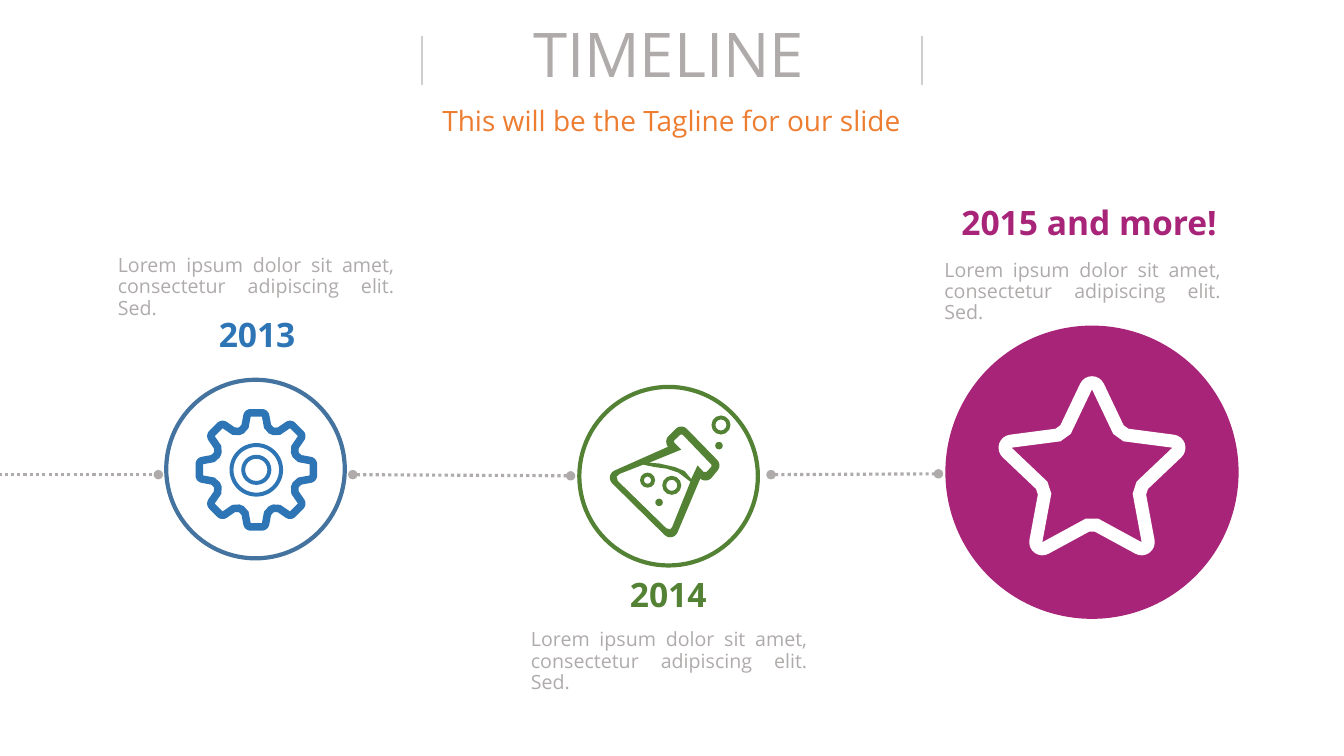
from math import atan2, cos, hypot, pi, radians, sin

from lxml import etree
from pptx import Presentation
from pptx.dml.color import RGBColor
from pptx.enum.dml import MSO_LINE
from pptx.enum.shapes import MSO_CONNECTOR, MSO_SHAPE
from pptx.enum.text import MSO_AUTO_SIZE, PP_ALIGN
from pptx.oxml.ns import qn
from pptx.util import Cm, Pt

STRAIGHT = MSO_CONNECTOR.STRAIGHT
OVAL = MSO_SHAPE.OVAL
DONUT = MSO_SHAPE.DONUT
DOTTED = MSO_LINE.ROUND_DOT
CENTER = PP_ALIGN.CENTER
JUSTIFY = PP_ALIGN.JUSTIFY
GROW = MSO_AUTO_SIZE.SHAPE_TO_FIT_TEXT

FONT = "Open Sans"
WHITE = RGBColor(0xFF, 0xFF, 0xFF)
GRAY = RGBColor(0xAF, 0xAB, 0xAB)
LIGHT_GRAY = RGBColor(0xD0, 0xCE, 0xCE)
ORANGE = RGBColor(0xED, 0x7D, 0x31)
BLUE = RGBColor(0x2E, 0x75, 0xB6)
RIM_BLUE = RGBColor(0x43, 0x73, 0x9E)
GREEN = RGBColor(0x54, 0x82, 0x35)
PURPLE = RGBColor(0xA8, 0x24, 0x79)

BODY = "Lorem ipsum dolor sit amet, consectetur adipiscing elit. Sed."
BODY_WIDTH, BODY_HEIGHT = 7.47, 1.45

GEAR_TOOTH = [(-6, 1.35), (6, 1.35), (10.5, 1.07), (19, 0.97), (26, 0.97), (34.5, 1.07)]
STAR_POINT = [(0, 2.13), (28, 1.14), (44, 1.14)]
FLASK_BODY = [
    (17.17, 10.95), (17.93, 11.73), (17.78, 11.91), (17.58, 11.71),
    (16.89, 13.34), (15.57, 12.04), (17.17, 11.33), (16.99, 11.13),
]
FLASK_GLASS = [
    (17.93, 11.71), (17.93, 11.76), (17.81, 11.89), (17.73, 11.89), (17.58, 11.73),
    (17.42, 12.07), (17.25, 11.87), (17.01, 11.77), (16.61, 11.68), (16.36, 11.66),
    (17.17, 11.33), (16.99, 11.15), (16.99, 11.1), (17.15, 10.95), (17.2, 10.95),
]
FLASK_LIQUID = [
    (16.94, 13.28), (16.89, 13.34), (16.79, 13.31), (15.57, 12.12), (15.54, 12.01),
    (15.62, 11.94), (16.21, 11.71), (16.5, 11.77), (16.8, 11.81), (17.1, 11.91),
    (17.4, 12.14),
]


def add_text(page, left, top, width, height, text, size, color, align=CENTER, bold=False):
    box = page.shapes.add_textbox(Cm(left), Cm(top), Cm(width), Cm(height))
    frame = box.text_frame
    frame.word_wrap = True
    frame.auto_size = GROW
    frame.text = text
    para = frame.paragraphs[0]
    para.alignment = align
    para.line_spacing = 0.9
    font = para.runs[0].font
    font.name, font.size, font.bold = FONT, Pt(size), bold
    font.color.rgb = color


def add_line(page, x1, y1, x2, y2, color, weight):
    line = page.shapes.add_connector(STRAIGHT, Cm(x1), Cm(y1), Cm(x2), Cm(y2))
    line.line.color.rgb = color
    line.line.width = Pt(weight)
    etree.SubElement(line._element.spPr, qn("a:effectLst"))
    return line


def add_dotted_link(page, x1, y1, x2, y2):
    link = add_line(page, x1, y1, x2, y2, GRAY, 2.25)
    link.line.dash_style = DOTTED
    outline = link.line._get_or_add_ln()
    for end in ("a:headEnd", "a:tailEnd"):
        etree.SubElement(outline, qn(end), type="oval")


def paint(shape, fill, rim=None):
    shape.shadow.inherit = False
    shape.fill.solid()
    shape.fill.fore_color.rgb = fill
    if rim is None:
        shape.line.fill.background()
    else:
        shape.line.color.rgb = rim
        shape.line.width = Pt(3)


def add_round(page, kind, x, y, diameter, fill, rim=None):
    shape = page.shapes.add_shape(
        kind, Cm(x - diameter / 2), Cm(y - diameter / 2), Cm(diameter), Cm(diameter))
    paint(shape, fill, rim)
    return shape


def add_ring(page, x, y, diameter, color):
    ring = add_round(page, DONUT, x, y, diameter, color)
    ring.adjustments[0] = 0.1 / diameter


def repeat_around(x, y, pattern, count):
    points = []
    for step in range(count):
        for degrees, radius in pattern:
            angle = radians(degrees + step * 360 / count)
            points.append((x + radius * sin(angle), y - radius * cos(angle)))
    return points


def normal(start, end):
    dx, dy = end[0] - start[0], end[1] - start[1]
    length = hypot(dx, dy)
    return dy / length, -dx / length


def grow(points, margin):
    grown = []
    for index, (x, y) in enumerate(points):
        ax, ay = normal(points[index - 1], (x, y))
        bx, by = normal((x, y), points[(index + 1) % len(points)])
        if ax * by - ay * bx > 0:
            start = atan2(ay, ax)
            sweep = (atan2(by, bx) - start) % (2 * pi)
            angles = [start + sweep * step / 8 for step in range(9)]
            grown += [(x + margin * cos(a), y + margin * sin(a)) for a in angles]
        else:
            reach = margin / (1 + ax * bx + ay * by)
            grown.append((x + reach * (ax + bx), y + reach * (ay + by)))
    return grown


def add_outline(page, contours, color):
    contours = [[(Cm(x), Cm(y)) for x, y in contour] for contour in contours]
    builder = page.shapes.build_freeform(*contours[0][0])
    for index, contour in enumerate(contours):
        if index:
            builder.move_to(*contour[0])
        builder.add_line_segments(contour[1:], close=True)
    paint(builder.convert_to_shape(), color)


def add_flask(page):
    add_round(page, OVAL, 16.85, 12, 4.5, WHITE, GREEN)
    add_outline(page, [grow(FLASK_BODY, 0.2), FLASK_GLASS, FLASK_LIQUID], GREEN)
    for x, y, diameter in [(16.93, 12.23, 0.48), (18.17, 10.71, 0.48), (16.32, 12.1, 0.38)]:
        add_ring(page, x, y, diameter, GREEN)
    for x, y in [(16.61, 12.66), (18.12, 11.23)]:
        add_round(page, OVAL, x, y, 0.19, GREEN)


def add_gear(page):
    add_round(page, OVAL, 6.44, 11.82, 4.5, WHITE, RIM_BLUE)
    gear = repeat_around(6.46, 11.84, GEAR_TOOTH, 8)
    add_outline(page, [grow(gear, 0.19), gear], BLUE)
    for diameter in (1.35, 0.76):
        add_ring(page, 6.46, 11.84, diameter, BLUE)


def add_star(page):
    add_round(page, OVAL, 27.52, 11.9, 7.39, PURPLE)
    star = repeat_around(27.52, 11.94, STAR_POINT, 5)
    add_outline(page, [grow(star, 0.33), star], WHITE)


def add_milestone(page, label, left, top, width, color, body_left, body_top):
    add_text(page, left, top, width, 1.27, label, 24, color, bold=True)
    add_text(page, body_left, body_top, BODY_WIDTH, BODY_HEIGHT, BODY, 14, GRAY, JUSTIFY)


def main():
    deck = Presentation()
    deck.slide_width, deck.slide_height = Cm(33.87), Cm(19.05)
    page = deck.slides.add_slide(deck.slide_layouts[6])
    add_text(page, 8.53, 2.57, 16.79, 1.12, "This will be the Tagline for our slide", 20, ORANGE)
    add_text(page, 5.44, 0.48, 22.83, 2.13, "TIMELINE", 44, GRAY)
    for x in (10.64, 23.24):
        add_line(page, x, 0.91, x, 2.13, LIGHT_GRAY, 1.5)
    add_flask(page)
    add_gear(page)
    add_dotted_link(page, -0.46, 11.96, 3.99, 11.96)
    add_dotted_link(page, 8.89, 11.96, 14.38, 11.99)
    add_dotted_link(page, 19.43, 11.96, 23.65, 11.94)
    add_milestone(page, "2013", 4.6, 7.9, 3.76, BLUE, 2.72, 6.32)
    add_milestone(page, "2014", 14.96, 14.45, 3.76, GREEN, 13.13, 15.75)
    add_milestone(page, "2015 and more!", 23.88, 5.08, 7.14, PURPLE, 23.55, 6.43)
    add_star(page)
    deck.save("out.pptx")


if __name__ == "__main__":
    main()
